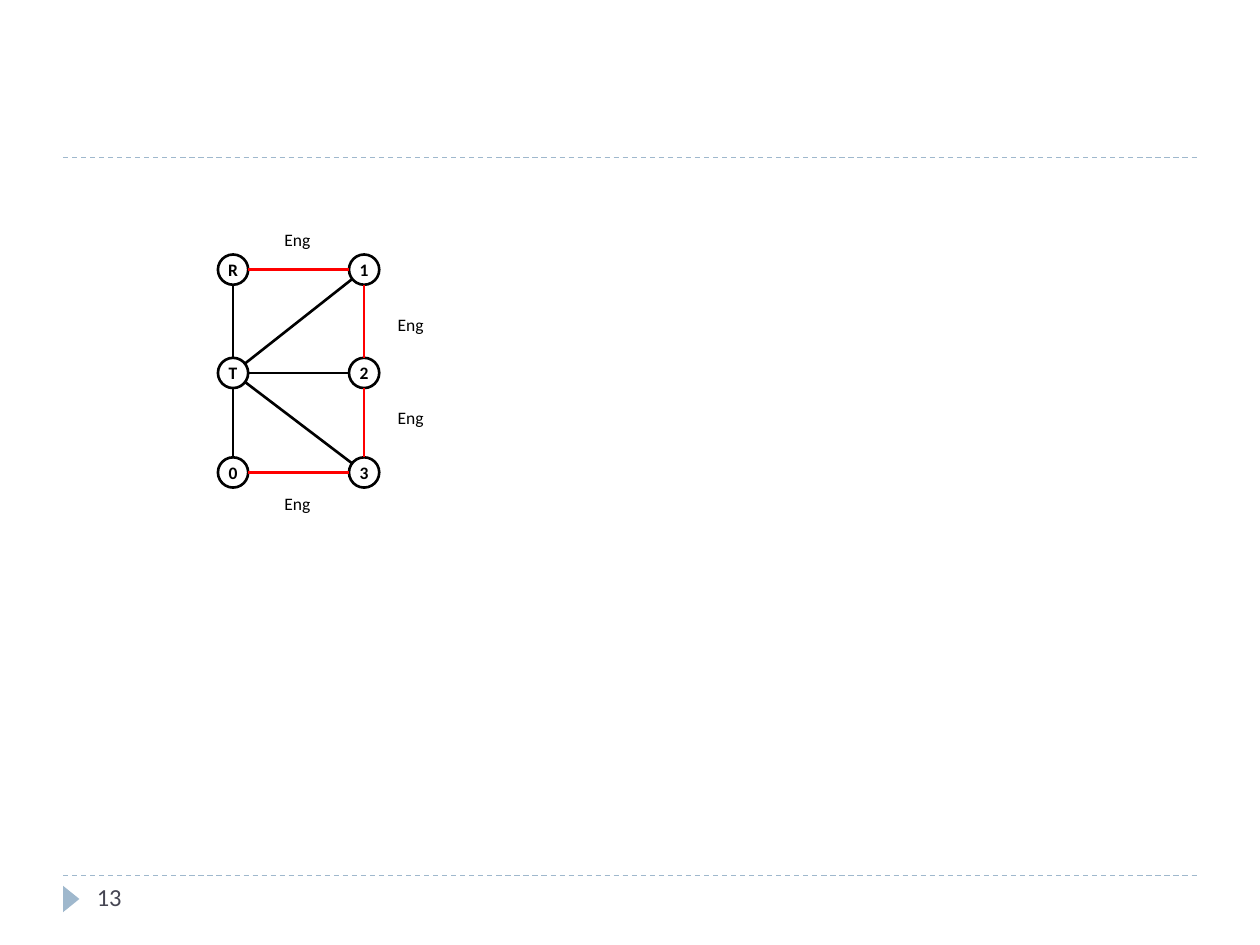
from math import hypot
from lxml.etree import SubElement
from pptx import Presentation
from pptx.dml.color import RGBColor
from pptx.enum.dml import MSO_LINE
from pptx.enum.shapes import MSO_CONNECTOR, MSO_SHAPE
from pptx.enum.text import MSO_ANCHOR, PP_ALIGN
from pptx.oxml.ns import qn
from pptx.util import Inches, Pt

BLACK, RED, BLUE = "000000", "FF0000", "9FB8CD"
SIZE = 0.24
NODES = {
    "R": (1.85, 2.14), "0": (1.85, 3.75), "T": (1.85, 2.96),
    "1": (2.89, 2.14), "2": (2.89, 2.96), "3": (2.89, 3.75),
}
EDGES = {BLACK: ["0T", "RT", "3T", "2T", "1T"], RED: ["30", "32", "12", "R1"]}
LABELS = [(2.01, 1.77), (2.91, 2.44), (2.91, 3.18), (2.01, 3.86)]


def color(code):
    return RGBColor.from_string(code)


def write(frame, text, size, code=BLACK, bold=False, align=PP_ALIGN.CENTER):
    frame.text = text
    frame.word_wrap = True
    para = frame.paragraphs[0]
    para.alignment = align
    font = para.runs[0].font
    font.name, font.size, font.bold = "Calibri", Pt(size), bold
    font.color.rgb = color(code)


def add_line(slide, start, end, code, width=1.5, dash=None):
    ends = [Inches(v) for v in (*start, *end)]
    line = slide.shapes.add_connector(MSO_CONNECTOR.STRAIGHT, *ends)
    line.line.color.rgb = color(code)
    line.line.width = Pt(width)
    if dash:
        line.line.dash_style = dash
    SubElement(line._element.spPr, qn("a:effectLst"))


def add_edge(slide, pair, code):
    (x1, y1), (x2, y2) = (NODES[name] for name in pair)
    ratio = SIZE / 2 / hypot(x2 - x1, y2 - y1)
    dx, dy = (x2 - x1) * ratio, (y2 - y1) * ratio
    add_line(slide, (x1 + dx, y1 + dy), (x2 - dx, y2 - dy), code)


def add_form(slide, kind, box, fill):
    form = slide.shapes.add_shape(kind, *[Inches(v) for v in box])
    form.shadow.inherit = False
    form.fill.solid()
    form.fill.fore_color.rgb = color(fill)
    return form


def add_node(slide, name):
    x, y = NODES[name]
    box = (x - SIZE / 2, y - SIZE / 2, SIZE, SIZE)
    node = add_form(slide, MSO_SHAPE.OVAL, box, "FFFFFF")
    node.line.color.rgb = color(BLACK)
    node.line.width = Pt(1.5)
    frame = node.text_frame
    frame.margin_left = frame.margin_right = 0
    frame.margin_top = frame.margin_bottom = 0
    frame.vertical_anchor = MSO_ANCHOR.MIDDLE
    write(frame, name, 10, bold=True)


def add_text(slide, box, text, size, **style):
    label = slide.shapes.add_textbox(*[Inches(v) for v in box])
    write(label.text_frame, text, size, **style)


def add_frame(slide):
    for y in (6.95, 1.25):
        add_line(slide, (0.5, y), (9.5, y), BLUE, 0.75, MSO_LINE.DASH)
    box = (0.46, 7.07, 0.21, 0.13)
    mark = add_form(slide, MSO_SHAPE.ISOSCELES_TRIANGLE, box, BLUE)
    mark.rotation = 90
    mark.line.fill.background()
    add_text(slide, (0.67, 6.95, 2.17, 0.4), "13", 14,
             code="464653", align=PP_ALIGN.LEFT)


def main():
    deck = Presentation()
    deck.slide_width, deck.slide_height = Inches(10), Inches(7.5)
    slide = deck.slides.add_slide(deck.slide_layouts[6])
    add_frame(slide)
    for name in NODES:
        add_node(slide, name)
    for code, pairs in EDGES.items():
        for pair in pairs:
            add_edge(slide, pair, code)
    for x, y in LABELS:
        add_text(slide, (x, y, 0.7, 0.27), "Eng", 10)
    deck.save("out.pptx")


if __name__ == "__main__":
    main()
